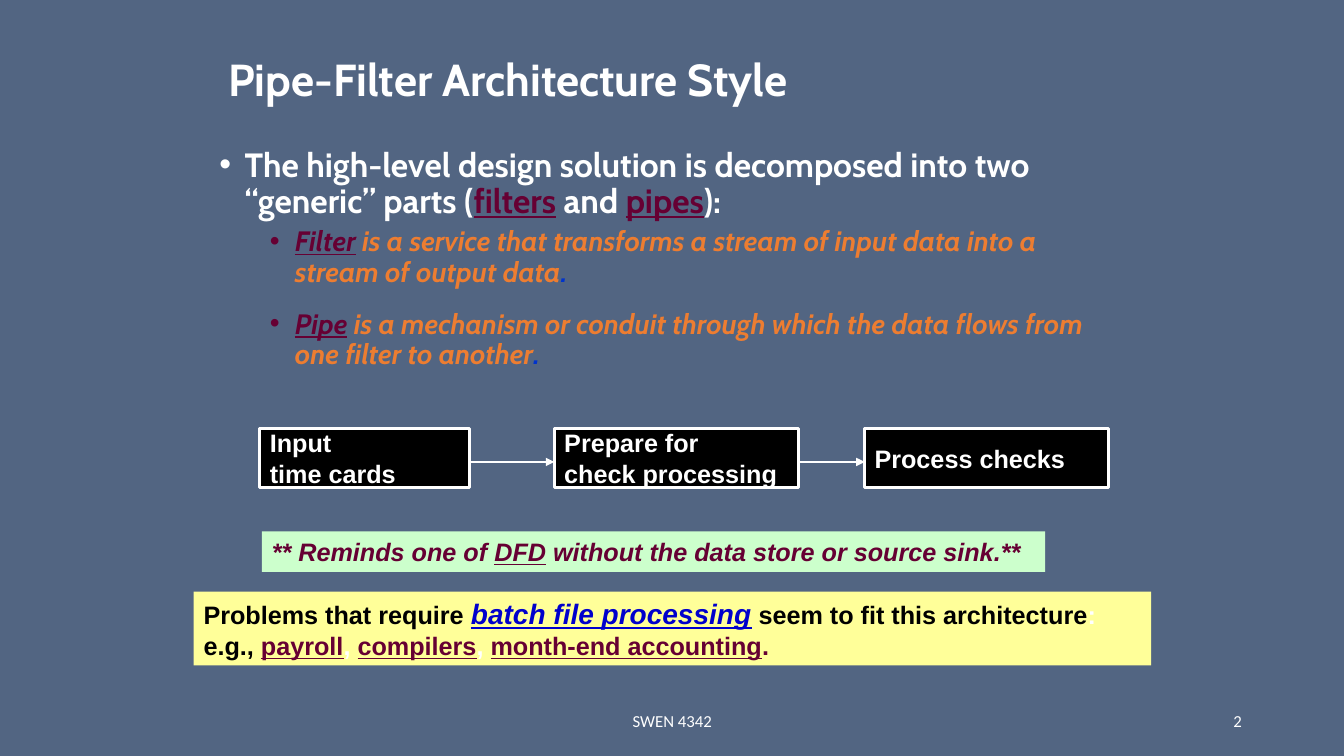
"""Builds the pipe-filter architecture slide."""
from itertools import pairwise

from lxml.etree import SubElement
from pptx import Presentation
from pptx.dml.color import RGBColor
from pptx.enum.shapes import MSO_CONNECTOR as Link, MSO_SHAPE as Preset
from pptx.enum.text import MSO_ANCHOR as Anchor, PP_ALIGN as Align
from pptx.oxml.ns import qn
from pptx.util import Cm, Pt

COLOURS = {
    "slate": "526582", "white": "FFFFFF", "black": "000000", "wine": "660033",
    "orange": "ED7D31", "blue": "0033CC", "link": "0000CC",
    "yellow": "FFFF99", "green": "CCFFCC",
}
TITLE = {"name": "Cabin", "size": Pt(32), "bold": True}
POINT = {"name": "Cabin", "size": Pt(24), "bold": True}
DETAIL = {"name": "Cabin", "size": Pt(20), "bold": True, "italic": True}
LABEL = {"name": "Arial", "size": Pt(18), "bold": True}
REMARK = LABEL | {"italic": True}
FOOTER = {"name": "Calibri", "size": Pt(12)}
UNDERLINE = {"underline": True}
BATCH = {"size": Pt(20), "italic": True, "underline": True}

BULLETS = [
    (0, 0, POINT, [
        ("The high-level design solution is decomposed into two “generic” parts (", "white"),
        ("filters", "wine", UNDERLINE), (" and ", "white"),
        ("pipes", "wine", UNDERLINE), ("):", "white")]),
    (1, 5, DETAIL, [
        ("Filter", "wine", UNDERLINE), (" ", "wine"),
        ("is a service that transforms a stream of input data into a stream of output data", "orange"),
        (".", "blue")]),
    (1, 15.5, DETAIL, [
        ("Pipe", "wine", UNDERLINE), (" ", "blue"),
        ("is a mechanism or conduit through which the data flows from one filter to another", "orange"),
        (".", "blue")]),
]
STAGES = [
    (0, 5.28, ["Input", "time cards"]),
    (7.42, 6.15, ["Prepare for", "check processing"]),
    (15.24, 6.15, ["Process checks"]),
]
REMINDER = [
    ("** Reminds one of ", "wine"), ("DFD", "wine", UNDERLINE),
    (" without the data store or source sink.**", "wine")]
PROBLEMS = [
    ("Problems that require ", "black"), ("batch file processing", "link", BATCH),
    (" ", "white"), ("seem to fit this architecture", "black"), (": ", "white"),
    ("e.g., ", "black"), ("payroll", "wine", UNDERLINE), (", ", "white"),
    ("compilers", "wine", UNDERLINE), (", ", "white"),
    ("month-end accounting", "wine", UNDERLINE), (".", "wine")]


def colour(name):
    """Return the named colour."""
    return RGBColor.from_string(COLOURS[name])


def write(para, spans, base):
    """Add formatted spans to a paragraph."""
    for text, shade, *extras in spans:
        span = para.add_run()
        span.text = text
        values = base | (extras[0] if extras else {})
        for key, value in values.items():
            setattr(span.font, key, value)
        span.font.color.rgb = colour(shade)


def add_text(page, box, spans, base, align=Align.LEFT, anchor=Anchor.MIDDLE, spacing=1.0):
    """Place a one-paragraph text box."""
    frame = page.shapes.add_textbox(*map(Cm, box)).text_frame
    frame.word_wrap = True
    frame.vertical_anchor = anchor
    para = frame.paragraphs[0]
    para.alignment = align
    para.line_spacing = spacing
    write(para, spans, base)


def add_panel(page, box, fill, lines, base, anchor=Anchor.TOP):
    """Place a filled rectangle with one paragraph per line and return it."""
    panel = page.shapes.add_shape(Preset.RECTANGLE, *map(Cm, box))
    panel.shadow.inherit = False
    panel.fill.solid()
    panel.fill.fore_color.rgb = colour(fill)
    panel.line.fill.background()
    frame = panel.text_frame
    frame.word_wrap = True
    frame.vertical_anchor = anchor
    for index, spans in enumerate(lines):
        para = frame.add_paragraph() if index else frame.paragraphs[0]
        para.alignment = Align.LEFT
        write(para, spans, base)
    return panel


def add_bullets(page, box):
    """Place the two-level bullet list."""
    frame = page.shapes.add_textbox(*map(Cm, box)).text_frame
    frame.word_wrap = True
    for index, (level, before, base, spans) in enumerate(BULLETS):
        para = frame.add_paragraph() if index else frame.paragraphs[0]
        para.level = level
        para.line_spacing = 0.9
        para.space_before = Pt(before)
        properties = para._p.get_or_add_pPr()
        properties.set("marL", str(Cm(0.635 + 1.27 * level)))
        properties.set("indent", str(-Cm(0.635)))
        SubElement(properties, qn("a:buFont"), typeface="Arial")
        SubElement(properties, qn("a:buChar"), char="•")
        write(para, spans, base)


def add_arrow(page, start, end, height):
    """Draw a horizontal pipe arrow."""
    arrow = page.shapes.add_connector(
        Link.STRAIGHT, Cm(start), Cm(height), Cm(end), Cm(height))
    arrow.line.color.rgb = colour("white")
    arrow.line.width = Pt(2)
    SubElement(arrow.line._get_or_add_ln(), qn("a:tailEnd"), type="triangle")
    SubElement(arrow._element.spPr, qn("a:effectLst"))


def add_pipeline(page, left, top, height):
    """Place the stages and the pipes between them."""
    for offset, width, lines in STAGES:
        stage = add_panel(page, (left + offset, top, width, height), "black",
                          [[(line, "white")] for line in lines], LABEL, Anchor.MIDDLE)
        stage.line.color.rgb = colour("white")
        stage.line.width = Pt(2)
    for (offset, width, _), (following, _, _) in pairwise(STAGES):
        add_arrow(page, left + offset + width, left + following, top + 0.84)


def add_footer(page, top, height):
    """Place the course name and the page number."""
    for left, width, text, align in [
            (11.23, 11.43, "SWEN 4342", Align.CENTER), (23.93, 7.62, "2", Align.RIGHT)]:
        add_text(page, (left, top, width, height), [(text, "white")], FOOTER, align)


def main():
    """Build and save the deck."""
    deck = Presentation()
    deck.slide_width, deck.slide_height = Cm(33.87), Cm(19.05)
    page = deck.slides.add_slide(deck.slide_layouts[6])
    page.background.fill.solid()
    page.background.fill.fore_color.rgb = colour("slate")
    add_text(page, (5.51, 0.76, 22.86, 2.62),
             [("Pipe-Filter Architecture Style", "white")], TITLE, spacing=0.9)
    add_bullets(page, (5.28, 3.61, 22.66, 7.19))
    add_footer(page, 17.65, 1.02)
    add_pipeline(page, 6.55, 10.8, 1.48)
    add_panel(page, (4.88, 14.91, 24.13, 1.86), "yellow", [PROBLEMS], LABEL)
    add_panel(page, (6.6, 13.39, 19.74, 1.02), "green", [REMINDER], REMARK)
    deck.save("out.pptx")


if __name__ == "__main__":
    main()
